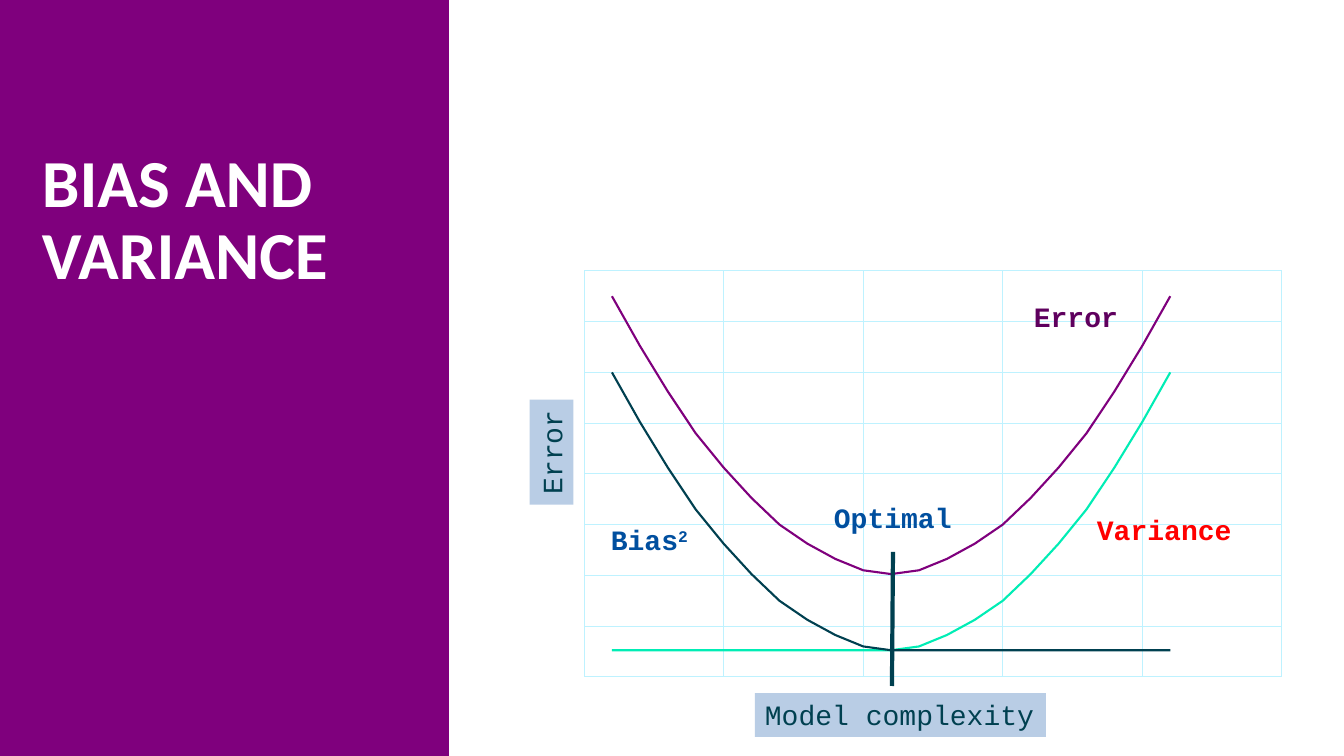
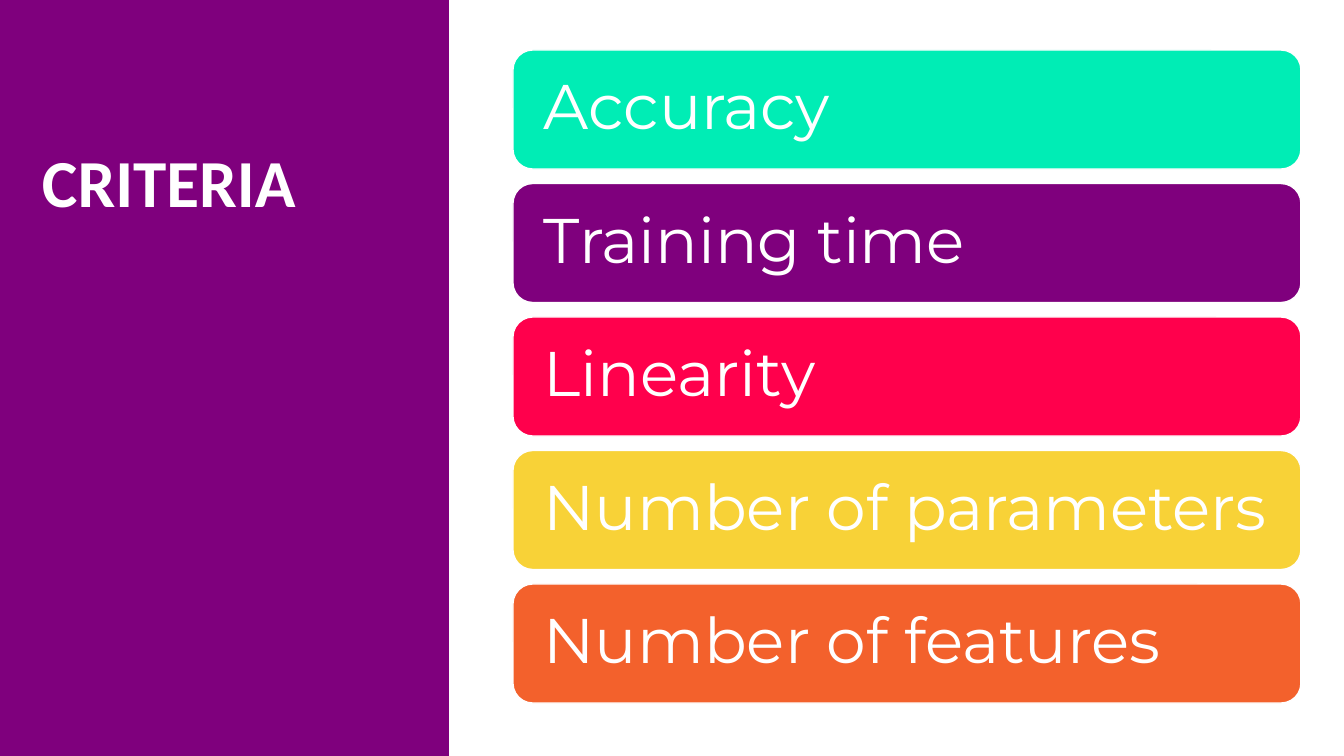
from dataclasses import dataclass

from lxml import etree
from pptx import Presentation
from pptx.chart.data import XyChartData
from pptx.dml.color import RGBColor
from pptx.enum.chart import XL_CHART_TYPE
from pptx.enum.shapes import MSO_CONNECTOR, MSO_SHAPE
from pptx.enum.text import MSO_ANCHOR, MSO_AUTO_SIZE, PP_ALIGN
from pptx.oxml import parse_xml
from pptx.oxml.ns import nsdecls, qn
from pptx.util import Pt

RECT, ROUND_RECT = MSO_SHAPE.RECTANGLE, MSO_SHAPE.ROUNDED_RECTANGLE
SCATTER = XL_CHART_TYPE.XY_SCATTER_LINES_NO_MARKERS
STRAIGHT = MSO_CONNECTOR.STRAIGHT
TOP, MIDDLE = MSO_ANCHOR.TOP, MSO_ANCHOR.MIDDLE
LEFT = PP_ALIGN.LEFT
NO_FIT = MSO_AUTO_SIZE.NONE


@dataclass(frozen=True)
class Theme:
    white: str = "FFFFFF"
    purple: str = "7F007D"
    plum: str = "5F005E"
    teal: str = "004050"
    mint: str = "00EDB5"
    blue: str = "004F9F"
    red: str = "FF0000"
    pink: str = "FF004C"
    yellow: str = "F8D237"
    orange: str = "F3612C"
    tag: str = "B9CDE5"
    grid: str = "BEF2FF"
    title_font: str = "Calibri"
    label_font: str = "Courier New"
    body_font: str = "Montserrat"
    title_size: int = 48
    card_size: int = 45
    label_size: int = 20
    chart_size: int = 10


T = Theme()
EMU_PER_PX = 914400 / 100.8
SLIDE_W, SLIDE_H, BAND_W = 1344, 756, 449
TITLE_BOX = (42, 149, 380, 303)

# Curves: the variance mirrors the bias, the error is symmetric.
FALLING_BIAS = [80, 67, 55, 44, 35, 27, 20, 15, 11, 8]
FALLING_ERROR = [100, 87, 75, 64, 55, 47, 40, 35, 31, 28]
BIAS = FALLING_BIAS + [7] * 11
CURVES = [
    ("Series 1", BIAS, T.teal),
    ("Series 2", BIAS[::-1], T.mint),
    ("Series 3", FALLING_ERROR + [27] + FALLING_ERROR[::-1], T.purple),
]
CHART_BOX = (570, 263, 727, 422)
PLOT_BOX = (584, 271, 698, 406)
X_STEP, X_CELLS = 5, 5
Y_STEP, Y_CELLS = 13.33, 8
OPTIMAL_LINE = (893, 552, 892, 686)

# Text, superscript, box, colour
CURVE_LABELS = [
    ("Error", "", (1024, 295, 105, 44), T.plum),
    ("Variance", "", (1087, 508, 156, 44), T.red),
    ("Bias", "2", (601, 518, 100, 44), T.blue),
    ("Optimal", "", (824, 496, 156, 44), T.blue),
]
# Text, box, rotation
AXIS_TAGS = [
    ("Model complexity", (755, 693, 291, 44), 0),
    ("Error", (499, 430, 105, 44), 270),
]

CRITERIA = [
    ("Accuracy", T.mint),
    ("Training time", T.purple),
    ("Linearity", T.pink),
    ("Number of parameters", T.yellow),
    ("Number of features", T.orange),
]
CARD_X, CARD_W, CARD_H, CARD_INSET = 513, 788, 119, 25
FIRST_CARD_Y, LAST_CARD_Y = 50, 584


def px(*lengths):
    return [round(n * EMU_PER_PX) for n in lengths]


def rgb(value):
    return RGBColor.from_string(value)


def set_attrs(target, **values):
    for name, value in values.items():
        setattr(target, name, value)


def set_font(font, name, size, color, bold=False):
    set_attrs(font, name=name, size=Pt(size), bold=bold)
    font.color.rgb = rgb(color)


def set_insets(tf, inset):
    for side in ("left", "top", "right", "bottom"):
        setattr(tf, f"margin_{side}", px(inset)[0])


def set_line(line, color, width):
    line.color.rgb = rgb(color)
    line.width = Pt(width)


def add_block(s, kind, box, fill):
    sp = s.shapes.add_shape(kind, *px(*box))
    sp.shadow.inherit = False
    sp.fill.solid()
    sp.fill.fore_color.rgb = rgb(fill)
    sp.line.fill.background()
    return sp


def add_label(sp, text, color, bold=False, superscript=""):
    """Write one unwrapped line in the label font."""
    tf = sp.text_frame
    set_attrs(tf, word_wrap=False, vertical_anchor=TOP)
    p = tf.paragraphs[0]
    p.alignment = LEFT
    for part in filter(None, (text, superscript)):
        r = p.add_run()
        r.text = part
        set_font(r.font, T.label_font, T.label_size, color, bold)
        if part == superscript:
            r.font._element.set("baseline", "30000")


def add_titled_slide(prs, title):
    s = prs.slides.add_slide(prs.slide_layouts[5])
    sp = s.shapes.title
    sp.left, sp.top, sp.width, sp.height = px(*TITLE_BOX)
    tf = sp.text_frame
    tf.text = title
    set_attrs(tf, word_wrap=True, vertical_anchor=TOP, auto_size=NO_FIT)
    set_insets(tf, 0)
    p = tf.paragraphs[0]
    set_attrs(p, alignment=LEFT, line_spacing=0.9)
    set_font(p.runs[0].font, T.title_font, T.title_size, T.white, True)
    return s


def add_layout_band(s):
    """Place the purple band on the slide's layout, behind its placeholders."""
    band = add_block(s, RECT, (0, 0, BAND_W, SLIDE_H), T.purple)
    s.slide_layout.shapes.element.insert(2, band.element)


def fix_plot_area(chart):
    """Pin the inner plot area to PLOT_BOX."""
    cx, cy, cw, ch = CHART_BOX
    x, y, w, h = PLOT_BOX
    places = {"x": (x - cx) / cw, "y": (y - cy) / ch, "w": w / cw, "h": h / ch}
    items = '<c:layoutTarget val="inner"/><c:xMode val="edge"/><c:yMode val="edge"/>'
    items += "".join(f'<c:{k} val="{v:.4f}"/>' for k, v in places.items())
    plot_area = chart.element.find(".//" + qn("c:plotArea"))
    for old in plot_area.findall(qn("c:layout")):
        plot_area.remove(old)
    plot_area.insert(0, parse_xml(
        f'<c:layout {nsdecls("c")}><c:manualLayout>{items}</c:manualLayout></c:layout>'))


def add_curves(s):
    data = XyChartData()
    for name, values, _ in CURVES:
        series = data.add_series(name)
        for x, y in enumerate(values, 1):
            series.add_data_point(x, y)
    chart = s.shapes.add_chart(SCATTER, *px(*CHART_BOX), data).chart
    set_attrs(chart, has_legend=False, has_title=False)
    set_font(chart.font, T.body_font, T.chart_size, T.teal)
    chart.plots[0].vary_by_categories = False
    for series, (_, _, color) in zip(chart.plots[0].series, CURVES):
        series.smooth = False
        set_line(series.format.line, color, 1.5)
    axes = ((chart.category_axis, X_STEP, X_CELLS), (chart.value_axis, Y_STEP, Y_CELLS))
    for axis, step, cells in axes:
        set_attrs(axis, minimum_scale=0, maximum_scale=step * cells, major_unit=step,
                  has_major_gridlines=True, visible=False)
        set_line(axis.major_gridlines.format.line, T.grid, 0.75)
    fix_plot_area(chart)


def add_optimal_line(s):
    line = s.shapes.add_connector(STRAIGHT, *px(*OPTIMAL_LINE))
    set_line(line.line, T.teal, 3)
    etree.SubElement(line.element.spPr, qn("a:effectLst"))


def build_bias_variance(s):
    add_curves(s)
    for text, box, rotation in AXIS_TAGS:
        tag = add_block(s, RECT, box, T.tag)
        tag.rotation = rotation
        add_label(tag, text, T.teal)
    add_optimal_line(s)
    for text, superscript, box, color in CURVE_LABELS:
        add_label(s.shapes.add_textbox(*px(*box)), text, color, True, superscript)


def build_criteria(s):
    pitch = (LAST_CARD_Y - FIRST_CARD_Y) / (len(CRITERIA) - 1)
    for i, (text, fill) in enumerate(CRITERIA):
        box = (CARD_X, FIRST_CARD_Y + i * pitch, CARD_W, CARD_H)
        card = add_block(s, ROUND_RECT, box, fill)
        set_line(card.line, T.white, 1)
        tf = card.text_frame
        tf.text = text
        set_attrs(tf, word_wrap=True, vertical_anchor=MIDDLE)
        set_insets(tf, CARD_INSET)
        p = tf.paragraphs[0]
        set_attrs(p, alignment=LEFT, line_spacing=0.9)
        set_font(p.runs[0].font, T.body_font, T.card_size, T.white)


def main():
    prs = Presentation()
    prs.slide_width, prs.slide_height = px(SLIDE_W, SLIDE_H)
    bias_slide = add_titled_slide(prs, "BIAS AND VARIANCE")
    add_layout_band(bias_slide)
    build_bias_variance(bias_slide)
    build_criteria(add_titled_slide(prs, "CRITERIA"))
    prs.save("out.pptx")


if __name__ == "__main__":
    main()
